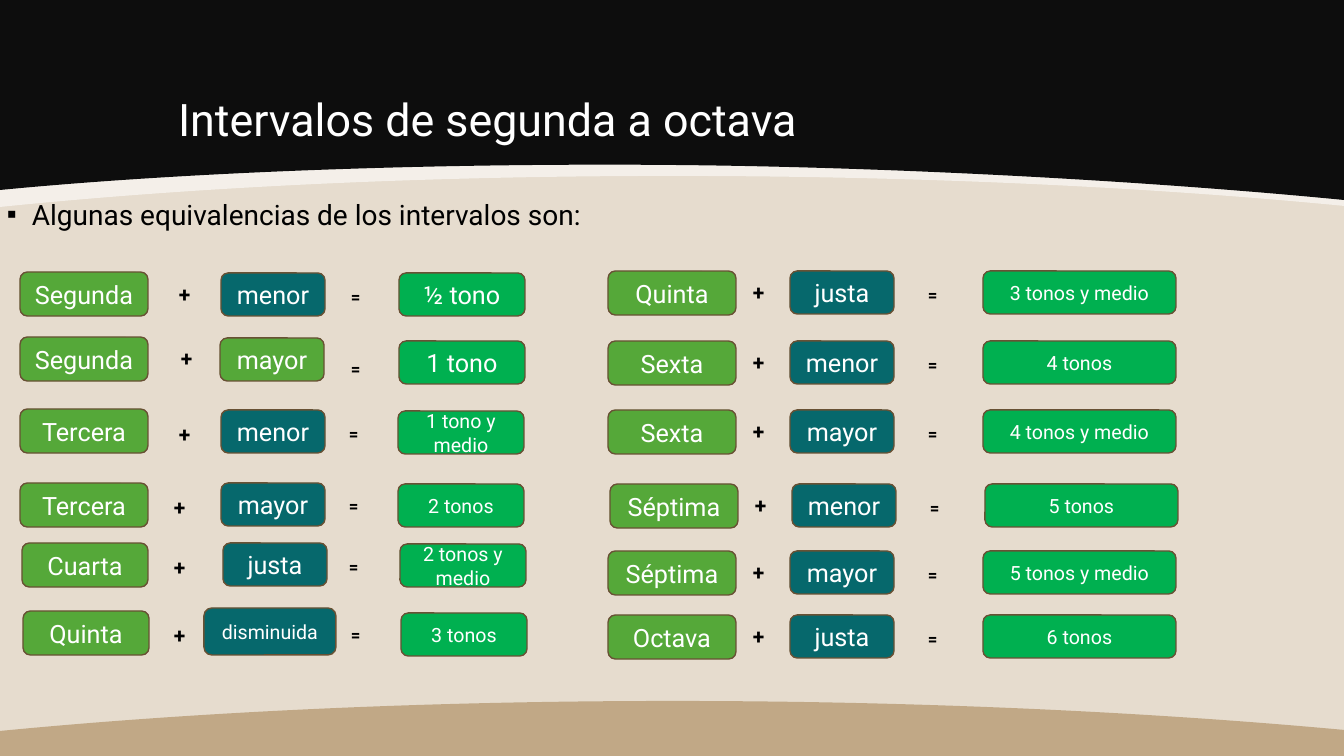
from lxml import etree
from pptx import Presentation
from pptx.dml.color import RGBColor
from pptx.enum.shapes import MSO_SHAPE
from pptx.enum.text import MSO_ANCHOR, PP_ALIGN
from pptx.oxml.ns import qn
from pptx.util import Pt

PX = 914400 / 100.8
COLORS = {
    "sand": "E6DCCE", "cream": "FAF8F5", "black": "0D0D0D", "tan": "C1A886",
    "green": "55A839", "teal": "06686C", "emerald": "00B050", "border": "685134",
    "white": "FFFFFF", "text": "000000",
}
RGB = {name: RGBColor.from_string(value) for name, value in COLORS.items()}


def bend(sp, first):
    """Turn six line segments, counted from the given one, into two Bezier curves."""
    lines = sp._element.findall(".//" + qn("a:lnTo"))[first:first + 6]
    for start in (0, 3):
        cubic = etree.Element(qn("a:cubicBezTo"))
        lines[start].addprevious(cubic)
        for line in lines[start:start + 3]:
            cubic.append(line[0])
            line.getparent().remove(line)


def write(tf, text, size, color, bold=False, spacing=1.0, align=PP_ALIGN.LEFT, anchor=MSO_ANCHOR.TOP):
    """Fill a text frame with one formatted paragraph and return it."""
    tf.word_wrap, tf.vertical_anchor = True, anchor
    p = tf.paragraphs[0]
    p.alignment, p.line_spacing = align, spacing
    r = p.add_run()
    r.text = text
    for key, value in {"name": "Roboto", "size": Pt(size), "bold": bold}.items():
        setattr(r.font, key, value)
    r.font.color.rgb = RGB[color]
    return p


prs = Presentation()
prs.slide_width, prs.slide_height = round(1344 * PX), round(756 * PX)
s = prs.slides.add_slide(prs.slide_layouts[5])
s.background.fill.solid()
s.background.fill.fore_color.rgb = RGB["sand"]

# Curved bands: colour, first curved segment, corners and curve control points
bands = [
    ("cream", 2, [(0, 0), (1344, 0), (1344, 206), (1149, 187), (919, 176), (673, 176),
                  (426, 176), (196, 187), (0, 207)]),
    ("black", 2, [(0, 0), (1344, 0), (1344, 200), (1149, 181), (896, 167), (673, 165),
                  (449, 163), (196, 171), (0, 190)]),
    ("tan", 0, [(0, 731), (196, 712), (426, 701), (673, 701), (919, 701), (1149, 712),
                (1344, 730), (1344, 756), (0, 756)]),
]
for color, first_curve, points in bands:
    outline = s.shapes.build_freeform(*points[0], scale=PX)
    outline.add_line_segments(points[1:])
    sp = outline.convert_to_shape()
    bend(sp, first_curve)
    sp.shadow.inherit = False
    sp.fill.solid()
    sp.fill.fore_color.rgb = RGB[color]
    sp.line.fill.background()
    if color == "cream":
        rgb = sp._element.spPr.find(".//" + qn("a:srgbClr"))
        etree.SubElement(rgb, qn("a:alpha"), val="70000")

# Title and introduction
title = s.shapes.title
s.shapes._spTree.append(title._element)
title.left, title.top, title.width, title.height = [round(v * PX) for v in (168, 30, 1008, 121)]
write(title.text_frame, "Intervalos de segunda a octava", 32, "white", spacing=0.9, anchor=MSO_ANCHOR.BOTTOM)

intro = s.shapes.add_textbox(*[round(v * PX) for v in (-3, 196, 913, 43)])
p = write(intro.text_frame, "Algunas equivalencias de los intervalos son:", 20, "text", spacing=0.9)
pPr = p._p.get_or_add_pPr()
pPr.set("marL", str(round(25 * PX)))
pPr.set("indent", str(round(-25 * PX)))
etree.SubElement(pPr, qn("a:buFont"), typeface="Arial")
etree.SubElement(pPr, qn("a:buChar"), char="▪")

# Each row: interval, quality, result, then lefts and tops of interval, +, quality, =, result
rows = [
    ("Segunda", "menor", "½ tono", (20, 169, 221, 341, 399), (272, 283, 273, 284, 273)),
    ("Segunda", "mayor", "1 tono", (20, 171, 220, 341, 399), (337, 347, 338, 356, 341)),
    ("Tercera", "menor", "1 tono y medio", (20, 169, 221, 339, 398), (409, 423, 410, 421, 411)),
    ("Tercera", "mayor", "2 tonos", (20, 164, 221, 339, 398), (483, 496, 483, 493, 484)),
    ("Cuarta", "justa", "2 tonos y medio", (22, 164, 223, 339, 400), (543, 556, 543, 554, 544)),
    ("Quinta", "disminuida", "3 tonos", (23, 164, 204, 341, 401), (611, 624, 608, 622, 613)),
]
right_rows = [
    ("Quinta", "justa", "3 tonos y medio", 0, 271),
    ("Sexta", "menor", "4 tonos", 0, 341),
    ("Sexta", "mayor", "4 tonos y medio", 0, 410),
    ("Séptima", "menor", "5 tonos", 2, 484),
    ("Séptima", "mayor", "5 tonos y medio", 0, 551),
    ("Octava", "justa", "6 tonos", 0, 615),
]
for interval, quality, result, shift, top in right_rows:
    lefts = [x + shift for x in (608, 743, 790, 918, 983)]
    rows.append((interval, quality, result, lefts, [top + dy for dy in (0, 10, 0, 11, 0)]))

for i, (interval, quality, result, lefts, tops) in enumerate(rows):
    long_quality = quality == "disminuida"
    quality_size = (132, 47) if long_quality else (104, 43)
    cells = [
        (interval, 126 if i in (4, 5) else 128, 44, 18, "green"),
        ("+", 42 if 2 <= i < 6 else 38, 28, 15, None),
        (quality, *quality_size, 14 if long_quality else 18, "green" if i == 1 else "teal"),
        ("=", 35, 30 if 1 <= i < 6 else 28, 12, None),
        (result, 126 if i < 6 else 193, 43, 18 if i < 2 else 14, "emerald"),
    ]
    for (text, width, height, size, color), left, top in zip(cells, lefts, tops):
        box = [round(v * PX) for v in (left, top, width, height)]
        if color is None:
            sp = s.shapes.add_textbox(*box)
            write(sp.text_frame, text, size, "text", bold=True, spacing=0.7 if text == "+" else 0.9)
            continue
        sp = s.shapes.add_shape(MSO_SHAPE.ROUNDED_RECTANGLE, *box)
        sp.shadow.inherit = False
        sp.fill.solid()
        sp.fill.fore_color.rgb = RGB[color]
        sp.line.color.rgb = RGB["border"]
        sp.line.width = Pt(1)
        write(sp.text_frame, text, size, "white", align=PP_ALIGN.CENTER, anchor=MSO_ANCHOR.MIDDLE)

prs.save("out.pptx")
